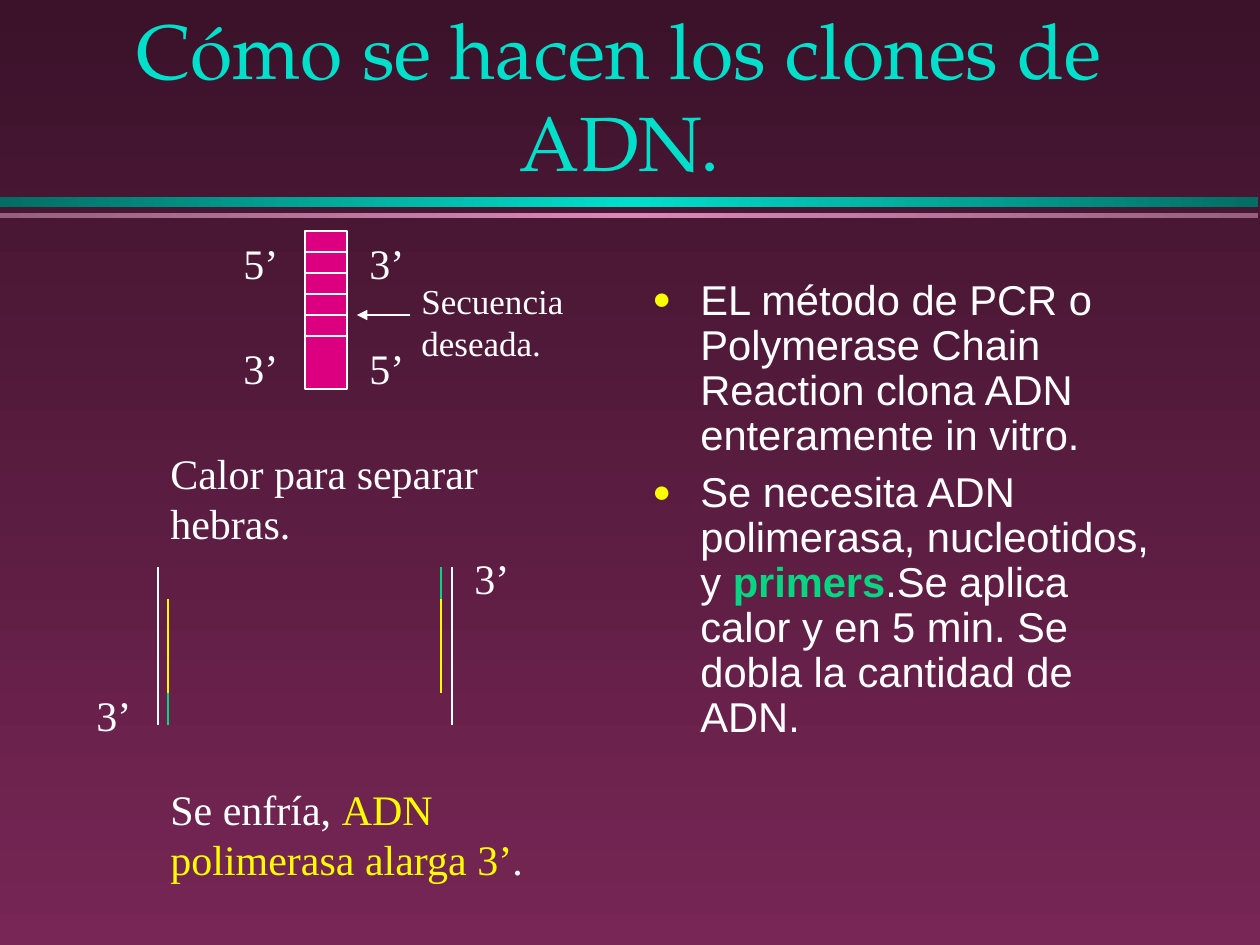
from lxml.etree import SubElement
from pptx import Presentation
from pptx.dml.color import RGBColor
from pptx.enum.shapes import MSO_CONNECTOR, MSO_SHAPE
from pptx.enum.text import MSO_ANCHOR, MSO_AUTO_SIZE, PP_ALIGN
from pptx.oxml.ns import qn
from pptx.util import Pt

EMU_PER_PX = 914400 / 126
WHITE, YELLOW, GREEN = "FFFFFF", "FAFD00", "06D682"
TURQUOISE, MAGENTA = "00DFCA", "DC0081"
SERIF = "Times New Roman"


def px(*lengths):
    return [round(length * EMU_PER_PX) for length in lengths]


def color(hex_text):
    return RGBColor.from_string(hex_text)


def set_attributes(target, values):
    for name, value in values.items():
        setattr(target, name, value)


def set_gradient(owner, fill, colors, angle):
    """Spread the colours evenly along a linear gradient."""
    fill.gradient()
    fill.gradient_angle = angle
    stop_list = next(owner.element.iter(qn("a:gsLst")))
    stop_list.clear()
    for index, hex_text in enumerate(colors):
        position = 100000 * index // (len(colors) - 1)
        stop = SubElement(stop_list, qn("a:gs"), pos=str(position))
        SubElement(stop, qn("a:srgbClr"), val=hex_text)


def add_box(slide, bounds, kind=MSO_SHAPE.RECTANGLE):
    shape = slide.shapes.add_shape(kind, *px(*bounds))
    shape.shadow.inherit = False
    shape.line.fill.background()
    return shape


def add_line(slide, start, end, hex_text=WHITE, arrow=False):
    connector = slide.shapes.add_connector(
        MSO_CONNECTOR.STRAIGHT, *px(*start, *end))
    connector.line.color.rgb = color(hex_text)
    connector.line.width = Pt(0.75)
    properties = connector.element.spPr
    if arrow:
        SubElement(properties.find(qn("a:ln")), qn("a:tailEnd"), type="triangle")
    SubElement(properties, qn("a:effectLst"))


def add_runs(paragraph, runs, size, font_name):
    """Each run is (text, colour) or (text, colour, bold)."""
    for text, hex_text, *bold in runs:
        run = paragraph.add_run()
        run.text = text
        set_attributes(run.font, {"size": Pt(size), "name": font_name,
                                  "bold": bool(bold)})
        run.font.color.rgb = color(hex_text)


def add_text(slide, bounds, runs, size=24):
    box = slide.shapes.add_textbox(*px(*bounds))
    box.text_frame.word_wrap = True
    add_runs(box.text_frame.paragraphs[0], runs, size, SERIF)


def add_bullet(paragraph):
    indent, = px(48)
    properties = paragraph._p.get_or_add_pPr()
    properties.set("marL", str(indent))
    properties.set("indent", str(-indent))
    bullet_color = SubElement(properties, qn("a:buClr"))
    SubElement(bullet_color, qn("a:srgbClr"), val=YELLOW)
    SubElement(properties, qn("a:buSzPct"), val="75000")
    SubElement(properties, qn("a:buFont"), typeface="Arial")
    SubElement(properties, qn("a:buChar"), char="●")


def add_bullet_list(slide, bounds, items):
    frame = slide.shapes.add_textbox(*px(*bounds)).text_frame
    frame.word_wrap = True
    for index, runs in enumerate(items):
        paragraph = frame.add_paragraph() if index else frame.paragraphs[0]
        add_bullet(paragraph)
        set_attributes(paragraph, {"line_spacing": 0.9,
                                   "space_before": Pt(7 if index else 0)})
        add_runs(paragraph, runs, 23.8, "Arial")


def format_title(slide, bounds, text):
    title = slide.shapes.title
    set_attributes(title, dict(zip(("left", "top", "width", "height"),
                                   px(*bounds))))
    set_attributes(title.text_frame, {"word_wrap": True,
                                      "auto_size": MSO_AUTO_SIZE.NONE,
                                      "vertical_anchor": MSO_ANCHOR.MIDDLE})
    paragraph = title.text_frame.paragraphs[0]
    paragraph.alignment = PP_ALIGN.CENTER
    add_runs(paragraph, [(text, TURQUOISE)], 44, "TeX Gyre Pagella")


def add_double_strand(slide):
    left, top, width, height = 305, 231, 42, 158
    strand = add_box(slide, (left, top, width, height),
                     MSO_SHAPE.FLOWCHART_PROCESS)
    strand.fill.solid()
    strand.fill.fore_color.rgb = color(MAGENTA)
    strand.line.color.rgb = color(WHITE)
    strand.line.width = Pt(0.75)
    for rung in range(1, 6):
        y = top + 21 * rung
        add_line(slide, (left, y), (left + width, y))
    add_line(slide, (410, 315), (357, 315), arrow=True)


def add_separated_strands(slide):
    top, bottom = 567, 725
    for x in (158, 452):
        add_line(slide, (x, top), (x, bottom))
    # Primers in green, extensions in yellow
    for x, primer in ((168, (693, bottom)), (441, (top, 599))):
        add_line(slide, (x, primer[0]), (x, primer[1]), GREEN)
        add_line(slide, (x, 599), (x, 693), YELLOW)


def main():
    presentation = Presentation()
    presentation.slide_width, presentation.slide_height = px(1260, 945)
    slide = presentation.slides.add_slide(presentation.slide_layouts[5])

    # Background and divider bars
    set_gradient(slide, slide.background.fill, ("3B122A", "772655"), 270)
    for top, height, edge, middle in ((197, 10, "006E64", TURQUOISE),
                                      (213, 5, "965F7F", "D989B8")):
        bar = add_box(slide, (0, top, 1258, height))
        set_gradient(bar, bar.fill, (edge, middle, edge), 0)

    # Title and bullets
    format_title(slide, (84, 0, 1071, 189), "Cómo se hacen los clones de ADN.")
    add_bullet_list(slide, (640, 273, 525, 567), [
        [("EL método de PCR o Polymerase Chain Reaction clona ADN "
          "enteramente in vitro.", WHITE)],
        [("Se necesita ADN polimerasa, nucleotidos, y ", WHITE),
         ("primers", GREEN, True),
         (".Se aplica calor y en 5 min. Se dobla la cantidad de ADN.", WHITE)],
    ])

    # Strand diagrams
    add_double_strand(slide)
    add_separated_strands(slide)

    # Strand end labels
    for text, left, top in (("5’", 231, 231), ("3’", 357, 231),
                            ("3’", 231, 336), ("5’", 357, 336),
                            ("3’", 462, 546), ("3’", 84, 683)):
        add_text(slide, (left, top, 73, 63), [(text, WHITE)])

    # Step captions
    add_text(slide, (409, 273, 189, 97), [("Secuencia deseada.", WHITE)], 20)
    add_text(slide, (158, 441, 368, 113), [("Calor para separar hebras.", WHITE)])
    add_text(slide, (158, 777, 388, 113), [
        ("Se enfría, ", WHITE), ("ADN polimerasa alarga 3’", YELLOW), (".", WHITE)])

    presentation.save("out.pptx")


if __name__ == "__main__":
    main()
